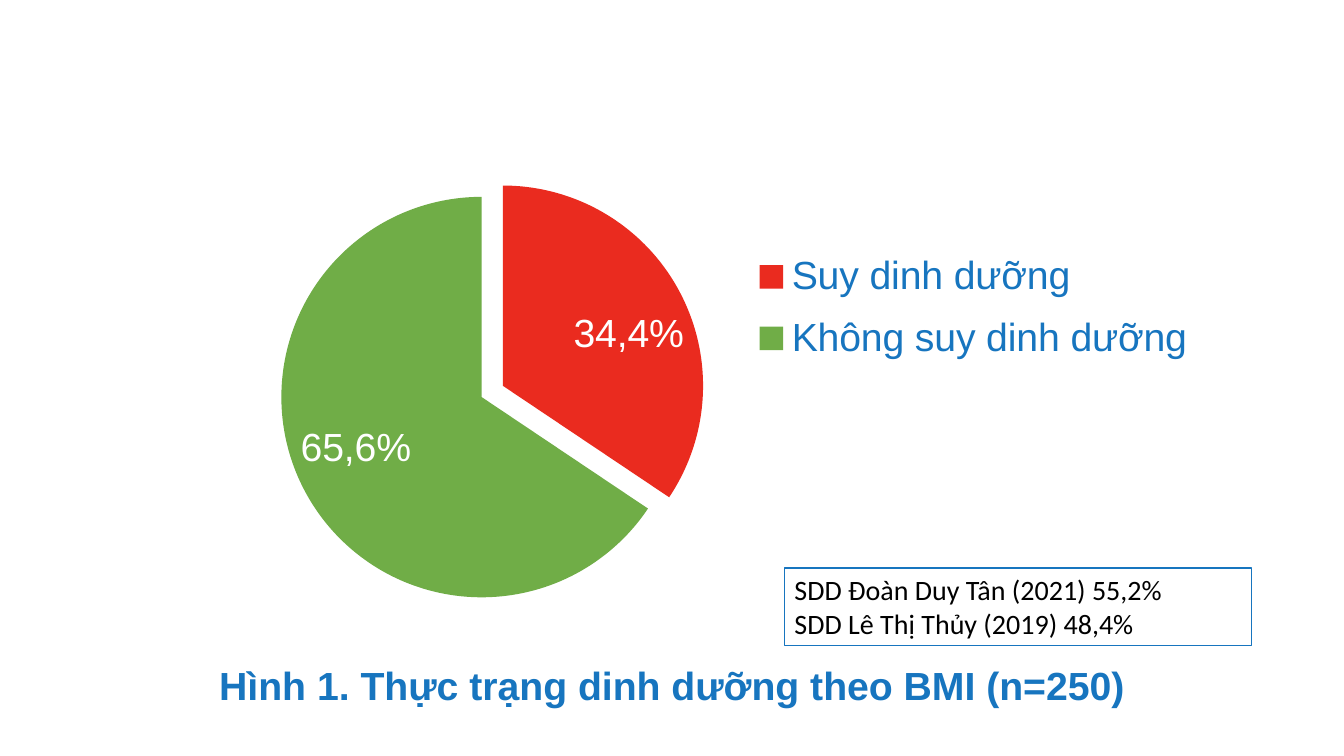
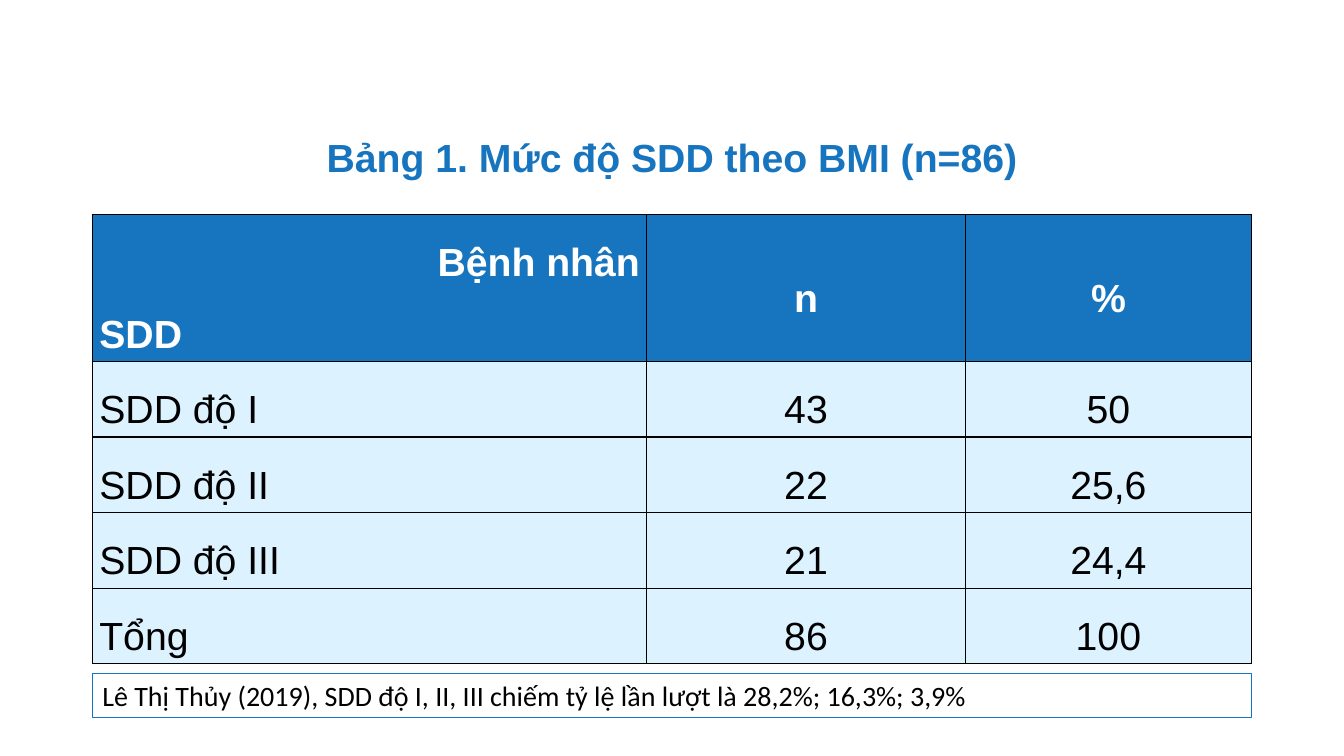
from lxml.etree import SubElement
from pptx import Presentation
from pptx.chart.data import CategoryChartData
from pptx.dml.color import RGBColor
from pptx.enum.chart import XL_CHART_TYPE as ChartType, XL_LABEL_POSITION as LabelPosition
from pptx.enum.chart import XL_LEGEND_POSITION as LegendPosition
from pptx.enum.shapes import MSO_SHAPE as Shape
from pptx.enum.text import MSO_ANCHOR as Anchor, MSO_AUTO_SIZE as AutoSize, PP_ALIGN as Align
from pptx.oxml import parse_xml
from pptx.oxml.ns import nsdecls, qn
from pptx.util import Pt

BLUE, PALE, RED, GREEN = "1775BF", "DDF2FF", "EA2B1F", "70AD47"
BLACK, WHITE = "000000", "FFFFFF"
LEFT, WIDTH = 66, 828


def rgb(value):
    """Turn a hex string into a colour."""
    return RGBColor.from_string(value)


def style_font(font, color, size=28, name="Arial", bold=False):
    """Set the typeface, size, weight and colour of a font."""
    font.name, font.size, font.bold = name, Pt(size), bold
    font.color.rgb = rgb(color)


def add_caption(slide, top, text):
    """Add a centred bold blue caption across the content width."""
    box = slide.shapes.add_textbox(Pt(LEFT), Pt(top), Pt(WIDTH), Pt(41))
    frame = box.text_frame
    frame.word_wrap = True
    frame.auto_size = AutoSize.SHAPE_TO_FIT_TEXT
    paragraph = frame.paragraphs[0]
    paragraph.text = text
    paragraph.alignment = Align.CENTER
    style_font(paragraph.font, BLUE, bold=True)


def add_note(slide, left, top, width, height, lines):
    """Add a white box with a thin blue outline and one paragraph per line."""
    shape = slide.shapes.add_shape(Shape.RECTANGLE, Pt(left), Pt(top), Pt(width), Pt(height))
    shape.shadow.inherit = False
    shape.fill.solid()
    shape.fill.fore_color.rgb = rgb(WHITE)
    shape.line.color.rgb = rgb(BLUE)
    shape.line.width = Pt(1)
    frame = shape.text_frame
    frame.text = "\n".join(lines)
    frame.word_wrap = True
    frame.auto_size = AutoSize.SHAPE_TO_FIT_TEXT
    frame.vertical_anchor = Anchor.TOP
    for paragraph in frame.paragraphs:
        paragraph.alignment = Align.LEFT
        style_font(paragraph.font, BLACK, 20, "Calibri")


def place_part(parent, index, x, y, width, height, inner=False):
    """Give a chart part a manual layout in fractions of the chart."""
    for old in parent.findall(qn("c:layout")):
        parent.remove(old)
    layout = parse_xml(f"<c:layout {nsdecls('c')}><c:manualLayout/></c:layout>")
    settings = {"xMode": "edge", "yMode": "edge", "x": x, "y": y, "w": width, "h": height}
    if inner:
        settings = {"layoutTarget": "inner", **settings}
    for tag, value in settings.items():
        SubElement(layout[0], qn(f"c:{tag}")).set("val", str(value))
    parent.insert(index, layout)


def add_pie(slide, top, height, slices):
    """Add an exploded pie from (category, value, label, colour) slices."""
    data = CategoryChartData(number_format="0.00%")
    data.categories = [category for category, *_ in slices]
    data.add_series("Series 1", [value for _, value, *_ in slices])
    chart = slide.shapes.add_chart(
        ChartType.PIE, Pt(LEFT), Pt(top), Pt(WIDTH), Pt(height), data).chart
    style_font(chart.font, BLACK, 10, "Calibri")
    chart.has_title = False
    chart.has_legend = True
    legend = chart.legend
    legend.position = LegendPosition.RIGHT
    legend.include_in_layout = False
    style_font(legend.font, BLUE)
    plot = chart.plots[0]
    plot.vary_by_categories = True
    series = plot.series[0]
    labels = series.data_labels
    labels.show_value = True
    labels.show_percentage = False
    labels.number_format = "0.00%"
    labels.number_format_is_linked = False
    labels.position = LabelPosition.BEST_FIT
    style_font(labels.font, WHITE, bold=True)
    for index, (_, _, label, color) in enumerate(slices):
        point = series.points[index]
        point.format.fill.solid()
        point.format.fill.fore_color.rgb = rgb(color)
        run = point.data_label.text_frame.paragraphs[0].add_run()
        run.text = label
        style_font(run.font, WHITE)
        point.data_label.position = LabelPosition.BEST_FIT
    explosion = parse_xml(f'<c:explosion {nsdecls("c")} val="6"/>')
    series._element.find(qn("c:dPt")).addprevious(explosion)
    place_part(plot._element.getparent(), 0, 0.13, 0.09, 0.43, 0.81, inner=True)
    place_part(legend._element, 1, 0.57, 0.2, 0.38, 0.27)


def border_cell(cell):
    """Draw a thin black line on all four sides of a cell."""
    properties = cell._tc.get_or_add_tcPr()
    for index, side in enumerate("LRTB"):
        properties.insert(index, parse_xml(
            f'<a:ln{side} {nsdecls("a")} w="{Pt(1)}"><a:solidFill>'
            f'<a:srgbClr val="{BLACK}"/></a:solidFill></a:ln{side}>'))


def fill_cell(cell, text, alignments, header):
    """Write a cell, with one alignment per paragraph."""
    cell.fill.solid()
    cell.fill.fore_color.rgb = rgb(BLUE if header else PALE)
    border_cell(cell)
    cell.vertical_anchor = Anchor.MIDDLE
    cell.margin_left = cell.margin_right = Pt(5)
    cell.margin_top = cell.margin_bottom = 0
    cell.text_frame.text = text
    for paragraph, alignment in zip(cell.text_frame.paragraphs, alignments):
        paragraph.alignment = alignment
        paragraph.line_spacing = 1.5
        paragraph.space_before = paragraph.space_after = Pt(2)
        style_font(paragraph.font, WHITE if header else BLACK, bold=header)


def add_grid(slide, top, widths, heights, rows):
    """Add a table with a header row and a left-aligned first column."""
    table = slide.shapes.add_table(
        len(rows), len(widths), Pt(LEFT), Pt(top), Pt(WIDTH), Pt(sum(heights))).table
    for column, width in zip(table.columns, widths):
        column.width = Pt(width)
    for row_index, (row, height, texts) in enumerate(zip(table.rows, heights, rows)):
        row.height = Pt(height)
        for column_index, text in enumerate(texts):
            alignments = [Align.LEFT if column_index == 0 else Align.CENTER]
            if "\n" in text:
                alignments = [Align.RIGHT, Align.LEFT]
            fill_cell(table.cell(row_index, column_index), text, alignments, row_index == 0)


def main():
    """Build both slides and save the presentation."""
    presentation = Presentation()
    presentation.slide_width, presentation.slide_height = Pt(960), Pt(540)
    blank = presentation.slide_layouts[6]

    slide = presentation.slides.add_slide(blank)
    add_pie(slide, 94.3, 374.4, [
        ("Suy dinh dưỡng", 0.344, "34,4%", RED),
        ("Không suy dinh dưỡng", 0.656, "65,6%", GREEN),
    ])
    add_note(slide, 560.4, 405.6, 333.6, 55.7, [
        "SDD Đoàn Duy Tân (2021) 55,2%",
        "SDD Lê Thị Thủy (2019) 48,4%",
    ])
    add_caption(slide, 468.7, "Hình 1. Thực trạng dinh dưỡng theo BMI (n=250)")

    slide = presentation.slides.add_slide(blank)
    add_grid(slide, 153.2, [396, 227.5, 204.5], [105] + [54] * 4, [
        ("Bệnh nhân\nSDD", "n", "%"),
        ("SDD độ I", "43", "50"),
        ("SDD độ II", "22", "25,6"),
        ("SDD độ III", "21", "24,4"),
        ("Tổng", "86", "100"),
    ])
    add_caption(slide, 91.4, "Bảng 1. Mức độ SDD theo BMI (n=86)")
    add_note(slide, LEFT, 481, WIDTH, 31.5, [
        "Lê Thị Thủy (2019), SDD độ I, II, III chiếm tỷ lệ lần lượt là 28,2%; 16,3%; 3,9%",
    ])
    presentation.save("out.pptx")


if __name__ == "__main__":
    main()
